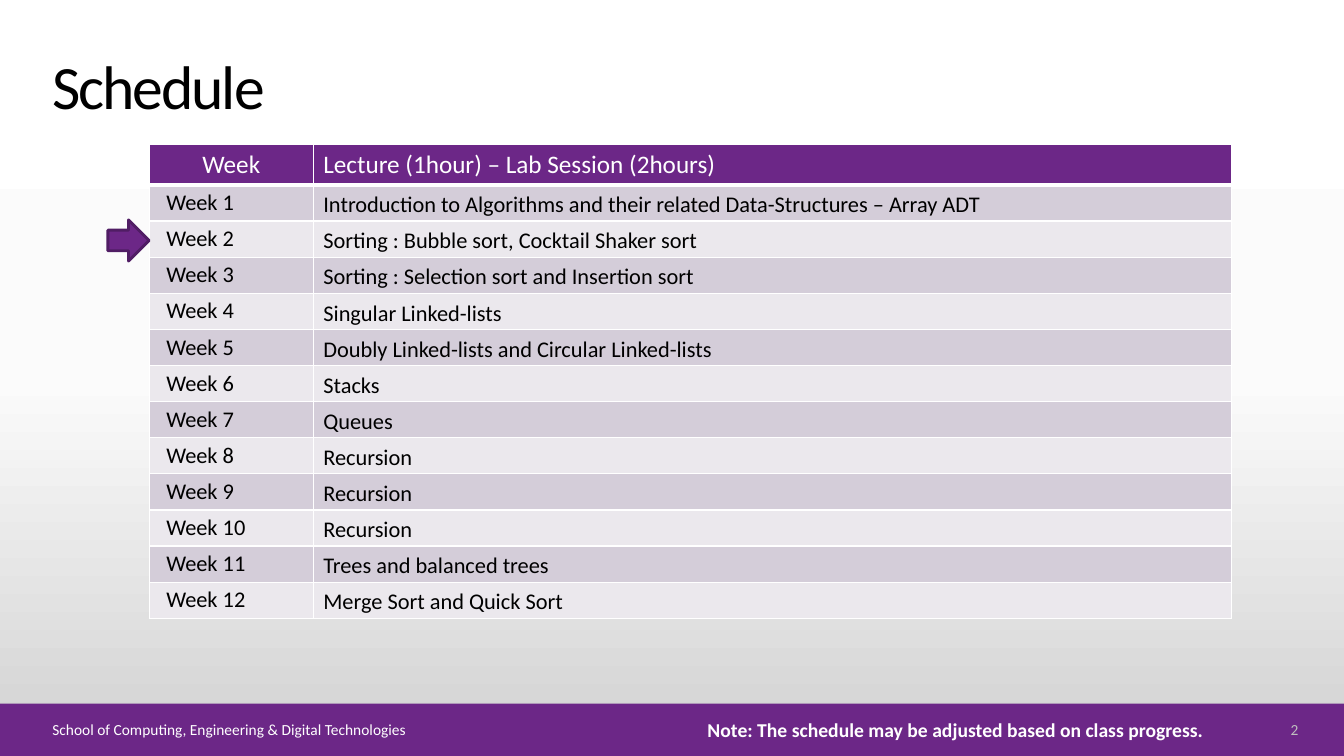
from copy import deepcopy
from dataclasses import dataclass

from lxml.etree import SubElement
from pptx import Presentation
from pptx.dml.color import RGBColor
from pptx.enum.shapes import MSO_SHAPE
from pptx.enum.text import MSO_ANCHOR, PP_ALIGN
from pptx.oxml.ns import qn
from pptx.util import Cm, Pt


@dataclass(frozen=True)
class Theme:
    font: str = "Calibri"
    purple: str = "6C2787"
    dark_purple: str = "501D64"
    white: str = "FFFFFF"
    black: str = "000000"
    grey: str = "BFBFBF"
    bands: tuple = ("D4CDD9", "EBE8ED")
    backdrop: tuple = ((0, "FFFFFF"), (0.5, "FBFBFB"), (1, "D1D1D1"))
    title_size: int = 44
    header_size: int = 18
    body_size: int = 16
    note_size: int = 14
    footer_size: int = 11


THEME = Theme()

HEADINGS = ("Week", "Lecture (1hour) – Lab Session (2hours)")
TOPICS = (
    "Introduction to Algorithms and their related Data-Structures – Array ADT",
    "Sorting : Bubble sort, Cocktail Shaker sort",
    "Sorting : Selection sort and Insertion sort",
    "Singular Linked-lists",
    "Doubly Linked-lists and Circular Linked-lists",
    "Stacks",
    "Queues",
    "Recursion",
    "Recursion",
    "Recursion",
    "Trees and balanced trees",
    "Merge Sort and Quick Sort",
)


def write_text(frame, text, size, color=THEME.white, bold=False,
               align=PP_ALIGN.LEFT, line_spacing=None, tracking=None):
    para = frame.paragraphs[0]
    para.alignment = align
    if line_spacing:
        para.line_spacing = line_spacing
    span = para.add_run()
    span.text = text
    span.font.name = THEME.font
    span.font.size = Pt(size)
    span.font.bold = bold
    span.font.color.rgb = RGBColor.from_string(color)
    if tracking:
        span.font._element.set("spc", str(round(tracking * 100)))


def add_text_box(page, text, left, top, width, height,
                 anchor=MSO_ANCHOR.MIDDLE, wrap=True, **text_format):
    box = page.shapes.add_textbox(Cm(left), Cm(top), Cm(width), Cm(height))
    box.text_frame.word_wrap = wrap
    box.text_frame.vertical_anchor = anchor
    write_text(box.text_frame, text, **text_format)


def add_solid_shape(page, kind, left, top, width, height, outline=None):
    shape = page.shapes.add_shape(kind, Cm(left), Cm(top), Cm(width), Cm(height))
    shape.shadow.inherit = False
    shape.fill.solid()
    shape.fill.fore_color.rgb = RGBColor.from_string(THEME.purple)
    if outline:
        shape.line.color.rgb = RGBColor.from_string(outline)
        shape.line.width = Pt(2)
    else:
        shape.line.fill.background()


def paint_background(page):
    fill = page.background.fill
    fill.gradient()
    fill.gradient_angle = 270
    stop_list = page.element.xpath(".//a:gsLst")[0]
    stop_list.append(deepcopy(stop_list[0]))
    for stop, (position, color) in zip(fill.gradient_stops, THEME.backdrop):
        stop.position = position
        stop.color.rgb = RGBColor.from_string(color)


def add_cell_borders(cell, bottom_width):
    properties = cell._tc.get_or_add_tcPr()
    widths = {"a:lnL": 1, "a:lnR": 1, "a:lnT": 1, "a:lnB": bottom_width}
    for tag, width in widths.items():
        border = SubElement(properties, qn(tag), w=str(Pt(width)))
        fill = SubElement(border, qn("a:solidFill"))
        SubElement(fill, qn("a:srgbClr"), val=THEME.white)


def format_cell(cell, text, fill, bottom_width=1, anchor=MSO_ANCHOR.MIDDLE,
                left=0.25, vertical=0, **text_format):
    add_cell_borders(cell, bottom_width)
    cell.fill.solid()
    cell.fill.fore_color.rgb = RGBColor.from_string(fill)
    cell.vertical_anchor = anchor
    cell.margin_left = Cm(left)
    cell.margin_top = cell.margin_bottom = Cm(vertical)
    write_text(cell.text_frame, text, **text_format)


def add_schedule(page):
    header_height, row_height = 1.03, 0.91
    widths = (4.14, 23.14)
    table = page.shapes.add_table(
        len(TOPICS) + 1, len(widths), Cm(3.76), Cm(3.63), Cm(sum(widths)),
        Cm(header_height + row_height * len(TOPICS))).table
    for column, width in zip(table.columns, widths):
        column.width = Cm(width)
    for row in table.rows:
        row.height = Cm(row_height)
    table.rows[0].height = Cm(header_height)

    for column, (text, align) in enumerate(
            zip(HEADINGS, (PP_ALIGN.CENTER, PP_ALIGN.LEFT))):
        format_cell(table.cell(0, column), text, THEME.purple, bottom_width=3,
                    anchor=MSO_ANCHOR.TOP, vertical=0.13,
                    size=THEME.header_size, align=align)
    for week, topic in enumerate(TOPICS, start=1):
        band = THEME.bands[(week - 1) % len(THEME.bands)]
        format_cell(table.cell(week, 0), f"Week {week}", band, left=0.43,
                    size=THEME.body_size, color=THEME.black)
        format_cell(table.cell(week, 1), topic, band, line_spacing=1.15,
                    size=THEME.body_size, color=THEME.black)


def main():
    deck = Presentation()
    deck.slide_width, deck.slide_height = Cm(33.87), Cm(19.05)
    page = deck.slides.add_slide(deck.slide_layouts[6])
    paint_background(page)
    add_solid_shape(page, MSO_SHAPE.RECTANGLE, 0, 17.73, 33.87, 1.32)
    add_text_box(page, "Schedule", 1.07, 1.02, 26.42, 2.21,
                 anchor=MSO_ANCHOR.BOTTOM, size=THEME.title_size,
                 color=THEME.black, line_spacing=0.9, tracking=-1.5)
    add_text_box(page, "School of Computing, Engineering & Digital Technologies",
                 1.07, 18.08, 29.59, 0.58, size=THEME.footer_size)
    add_text_box(page, "2", 31.06, 18.08, 1.91, 0.58, size=THEME.footer_size,
                 color=THEME.grey, align=PP_ALIGN.RIGHT)
    add_schedule(page)
    add_solid_shape(page, MSO_SHAPE.RIGHT_ARROW, 2.72, 5.54, 1.04, 1.04,
                    outline=THEME.dark_purple)
    add_text_box(page, "Note: The schedule may be adjusted based on class progress.",
                 17.58, 17.96, 13.08, 0.86, anchor=MSO_ANCHOR.TOP, wrap=False,
                 size=THEME.note_size, bold=True)
    deck.save("out.pptx")


if __name__ == "__main__":
    main()
